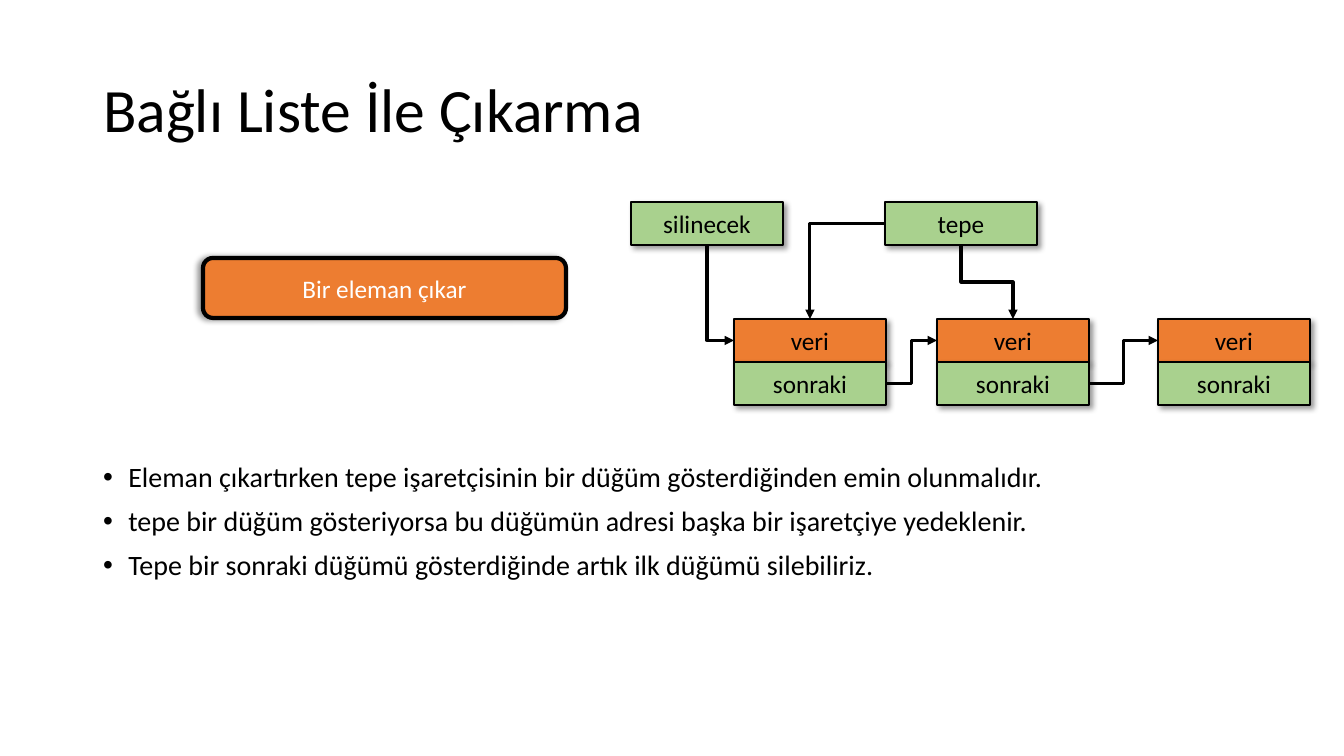
import pptx
import pptx.util
import pptx.dml.color
import pptx.enum.shapes
import pptx.enum.text
import pptx.oxml
import pptx.oxml.ns

RGB = pptx.dml.color.RGBColor
BLACK = RGB(0x00, 0x00, 0x00)
WHITE = RGB(0xFF, 0xFF, 0xFF)
ORANGE = RGB(0xED, 0x7D, 0x31)
GREEN = RGB(0xA9, 0xD1, 0x8E)
FONT = "Calibri"

TITLE = "Bağlı Liste İle Çıkarma"
POINTS = [
    "Eleman çıkartırken tepe işaretçisinin bir düğüm gösterdiğinden emin olunmalıdır.",
    "tepe bir düğüm gösteriyorsa bu düğümün adresi başka bir işaretçiye yedeklenir.",
    "Tepe bir sonraki düğümü gösterdiğinde artık ilk düğümü silebiliriz.",
]
BUTTON = "Bir eleman çıkar"
POINTERS = {"silinecek": 631, "tepe": 885}  # name: left
NODES = [734, 937, 1158]  # lefts
CELLS = [("veri", ORANGE), ("sonraki", GREEN)]
BOX_W, BOX_H = 152, 43
POINTER_Y, NODE_Y = 202, 319
TOP, LEFT, BOTTOM, RIGHT = range(4)  # connection sites of a rectangle
# from, site, to, site, preset
ARROWS = [
    ("sonraki1", RIGHT, "veri2", LEFT, "bentConnector3"),
    ("tepe", BOTTOM, "veri1", TOP, "bentConnector3"),
    ("sonraki0", RIGHT, "veri1", LEFT, "bentConnector3"),
    ("tepe", LEFT, "veri0", TOP, "bentConnector2"),
    ("silinecek", BOTTOM, "veri0", LEFT, "bentConnector2"),
]


def px(n):
    return pptx.util.Emu(round(n * 914400 / 100.8))


def add_xml(parent, text):
    space = pptx.oxml.ns.nsdecls("a")
    head, mark, rest = text.partition(" ")
    parent.append(pptx.oxml.parse_xml(f"{head} {space} {rest}"))


def style(par, size, color):
    par.font.name = FONT
    par.font.size = pptx.util.Pt(size)
    par.font.color.rgb = color


def place(shape, left, top, width, height):
    shape.left, shape.top = px(left), px(top)
    shape.width, shape.height = px(width), px(height)


def add_box(slide, text, area, fill, color=BLACK, line=1, angle=45, kind="RECTANGLE"):
    preset = getattr(pptx.enum.shapes.MSO_SHAPE, kind)
    box = slide.shapes.add_shape(preset, *map(px, area))
    box.fill.solid()
    box.fill.fore_color.rgb = fill
    box.line.color.rgb = BLACK
    box.line.width = pptx.util.Pt(line)
    add_xml(
        box.element.spPr,
        f'<a:effectLst ><a:outerShdw blurRad="50800" dist="38100" dir="{angle * 60000}">'
        '<a:srgbClr val="000000"><a:alpha val="40000"/></a:srgbClr>'
        "</a:outerShdw></a:effectLst>",
    )
    frame = box.text_frame
    frame.vertical_anchor = pptx.enum.text.MSO_ANCHOR.MIDDLE
    par = frame.paragraphs[0]
    par.text = text
    par.alignment = pptx.enum.text.PP_ALIGN.CENTER
    style(par, 18, color)
    return box


def add_arrow(slide, start, exit_site, end, entry_site, preset):
    elbow = pptx.enum.shapes.MSO_CONNECTOR.ELBOW
    arrow = slide.shapes.add_connector(elbow, 0, 0, 0, 0)
    arrow.begin_connect(start, exit_site)
    arrow.end_connect(end, entry_site)
    props = arrow.element.spPr
    props.prstGeom.set("prst", preset)
    if exit_site == BOTTOM:
        turn_down(arrow)
    arrow.line.color.rgb = BLACK
    arrow.line.width = pptx.util.Pt(2.25)
    add_xml(arrow.line._get_or_add_ln(), '<a:tailEnd type="triangle"/>')
    add_xml(props, "<a:effectLst />")


def turn_down(arrow):
    """Turn a connector so that it leaves its start downwards."""
    wide, high = arrow.width, arrow.height
    arrow.left += (wide - high) // 2
    arrow.top += (high - wide) // 2
    arrow.width, arrow.height = high, wide
    frame = arrow.element.spPr.xfrm
    frame.set("rot", str(270 * 60000))
    frame.set("flipH", "1")


def fill_text(slide):
    title, body = slide.placeholders
    place(title, 93, 40, 1159, 146)
    title.text_frame.text = TITLE
    title.text_frame.vertical_anchor = pptx.enum.text.MSO_ANCHOR.MIDDLE
    par = title.text_frame.paragraphs[0]
    par.alignment = pptx.enum.text.PP_ALIGN.LEFT
    par.line_spacing = 0.9
    style(par, 44, BLACK)

    place(body, 93, 458, 1270, 223)
    body.text_frame.text = "\n".join(POINTS)
    for i, par in enumerate(body.text_frame.paragraphs):
        props = par._p.get_or_add_pPr()
        props.set("marL", "228600")
        props.set("indent", "-228600")
        add_xml(props, '<a:buFont typeface="Arial"/>')
        add_xml(props, '<a:buChar char="•"/>')
        par.line_spacing = 0.9
        par.space_before = pptx.util.Pt(10 if i else 0)
        style(par, 20, BLACK)


def draw_list(slide):
    boxes = {}
    for name, left in POINTERS.items():
        boxes[name] = add_box(slide, name, (left, POINTER_Y, BOX_W, BOX_H), GREEN)
    for i, left in enumerate(NODES):
        for row, (name, fill) in enumerate(CELLS):
            area = (left, NODE_Y + row * BOX_H, BOX_W, BOX_H)
            boxes[f"{name}{i}"] = add_box(slide, name, area, fill)
    for start, exit_site, end, entry_site, preset in ARROWS:
        add_arrow(slide, boxes[start], exit_site, boxes[end], entry_site, preset)


def main():
    deck = pptx.Presentation()
    deck.slide_width, deck.slide_height = px(1344), px(756)
    slide = deck.slides.add_slide(deck.slide_layouts[1])
    fill_text(slide)
    draw_list(slide)
    add_box(slide, BUTTON, (203, 258, 363, 60), ORANGE, WHITE, 3, 180, "ROUNDED_RECTANGLE")
    deck.save("out.pptx")


if __name__ == "__main__":
    main()
